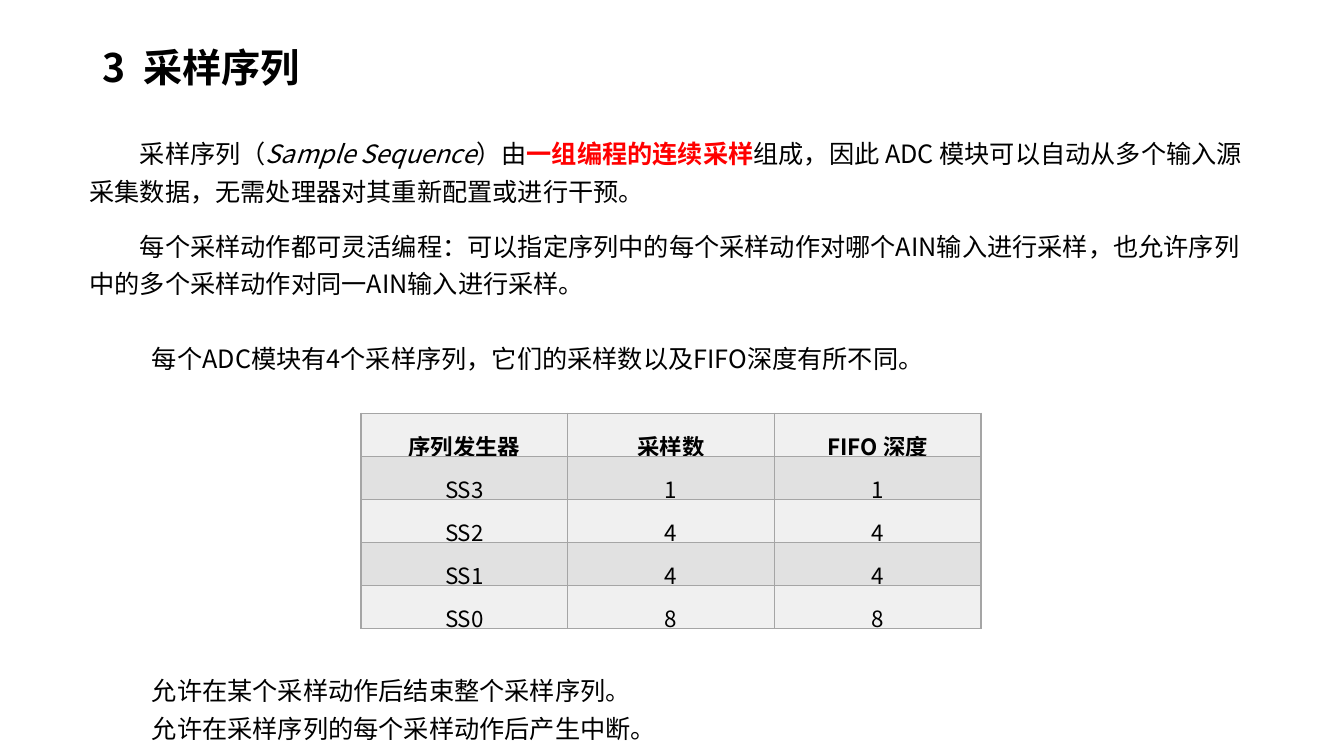
from dataclasses import dataclass, field
from typing import Any

from lxml.etree import SubElement as Sub
from pptx import Presentation
from pptx.dml.color import RGBColor as RGB
from pptx.enum.text import MSO_ANCHOR as Anchor, MSO_AUTO_SIZE as Fit, PP_ALIGN as Align
from pptx.oxml.ns import qn
from pptx.util import Pt


@dataclass(frozen=True)
class Theme:
    face: str = "Noto Sans CJK SC"
    ink: RGB = RGB(0, 0, 0)
    alert: RGB = RGB(0xFF, 0, 0)
    rule: str = "A5A5A5"
    bands: tuple = (RGB(0xF0, 0xF0, 0xF0), RGB(0xE1, 0xE1, 0xE1))
    head: int = 28
    body: int = 18
    cell: int = 16


@dataclass(frozen=True)
class Run:
    text: str
    bold: bool = False
    italic: bool = False
    color: RGB = Theme.ink


@dataclass(frozen=True)
class Block:
    box: tuple
    paras: list
    size: int = Theme.body
    form: dict = field(default_factory=dict)
    indent: float = 0
    frame: dict = field(default_factory=lambda: {"auto_size": Fit.SHAPE_TO_FIT_TEXT})


THEME = Theme()
BLOCKS = [
    Block((66.24, 28.8, 795.6, 41.76), [[Run("3  采样序列", bold=True)]], THEME.head,
          {"line_spacing": 0.9}, frame={"vertical_anchor": Anchor.MIDDLE}),
    Block((56.88, 90, 843.84, 128.16), [
        [Run("采样序列（"), Run("Sample Sequence", italic=True), Run("）由"),
         Run("一组编程的连续采样", bold=True, color=THEME.alert),
         Run("组成，因此 ADC 模块可以自动从多个输入源采集数据，无需处理器对其重新配置或进行干预。")],
        [Run("每个采样动作都可灵活编程：可以指定序列中的每个采样动作对哪个AIN输入进行采样，"
             "也允许序列中的多个采样动作对同一AIN输入进行采样。")],
    ], form={"line_spacing": 1.25, "space_before": Pt(6), "space_after": Pt(6)}, indent=36),
    Block((101.52, 241.92, 604.8, 28.8),
          [[Run("每个ADC模块有4个采样序列，它们的采样数以及FIFO深度有所不同。")]]),
    Block((101.52, 473.76, 604.8, 59.76),
          [[Run("允许在某个采样动作后结束整个采样序列。")],
           [Run("允许在采样序列的每个采样动作后产生中断。")]],
          form={"line_spacing": 1.25}),
]
GRID = [
    ("序列发生器", "采样数", "FIFO 深度"),
    ("SS3", "1", "1"),
    ("SS2", "4", "4"),
    ("SS1", "4", "4"),
    ("SS0", "8", "8"),
]
GRID_AT = (257.9, 295.2)
COL, ROW = 147.6, 30.8


def put(item: Any, form: dict) -> None:
    """Set each named attribute on the item."""
    for name, value in form.items():
        setattr(item, name, value)


def write(para: Any, runs: list, size: int, form: dict) -> None:
    put(para, form)
    for part in runs:
        run = para.add_run()
        run.text = part.text
        put(run.font, {"size": Pt(size), "bold": part.bold,
                       "italic": part.italic, "name": THEME.face})
        run.font.color.rgb = part.color
        Sub(run.font._element, qn("a:ea"), typeface=THEME.face)


def draw_block(slide: Any, block: Block) -> None:
    frame = slide.shapes.add_textbox(*map(Pt, block.box)).text_frame
    put(frame, {"word_wrap": True, **block.frame})
    for i, runs in enumerate(block.paras):
        para = frame.add_paragraph() if i else frame.paragraphs[0]
        write(para, runs, block.size, block.form)
        if block.indent:
            props = para._p.get_or_add_pPr()
            props.set("marL", "0")
            props.set("indent", str(Pt(block.indent)))


def edge(cell: Any) -> None:
    """Rule all four sides; the lines must come before the fill."""
    props = cell._tc.get_or_add_tcPr()
    for i, side in enumerate(("lnL", "lnR", "lnT", "lnB")):
        line = Sub(props, qn(f"a:{side}"), w=str(Pt(1)))
        Sub(Sub(line, qn("a:solidFill")), qn("a:srgbClr"), val=THEME.rule)
        props.insert(i, line)


def draw_grid(slide: Any) -> None:
    rows, cols = len(GRID), len(GRID[0])
    size = (COL * cols, ROW * rows)
    table = slide.shapes.add_table(rows, cols, *map(Pt, GRID_AT + size)).table
    put(table, {"first_row": False, "horz_banding": False})
    for col in table.columns:
        col.width = Pt(COL)
    for r, texts in enumerate(GRID):
        table.rows[r].height = Pt(ROW)
        for c, text in enumerate(texts):
            cell = table.cell(r, c)
            put(cell, {"margin_left": Pt(5), "margin_right": Pt(5),
                       "margin_top": 0, "margin_bottom": 0})
            cell.fill.solid()
            cell.fill.fore_color.rgb = THEME.bands[r % 2]
            edge(cell)
            write(cell.text_frame.paragraphs[0], [Run(text, bold=r == 0)], THEME.cell,
                  {"alignment": Align.CENTER, "line_spacing": 1.5})


def main() -> None:
    deck = Presentation()
    put(deck, {"slide_width": Pt(960), "slide_height": Pt(540)})
    slide = deck.slides.add_slide(deck.slide_layouts[6])
    for block in BLOCKS:
        draw_block(slide, block)
    draw_grid(slide)
    deck.save("out.pptx")


if __name__ == "__main__":
    main()
